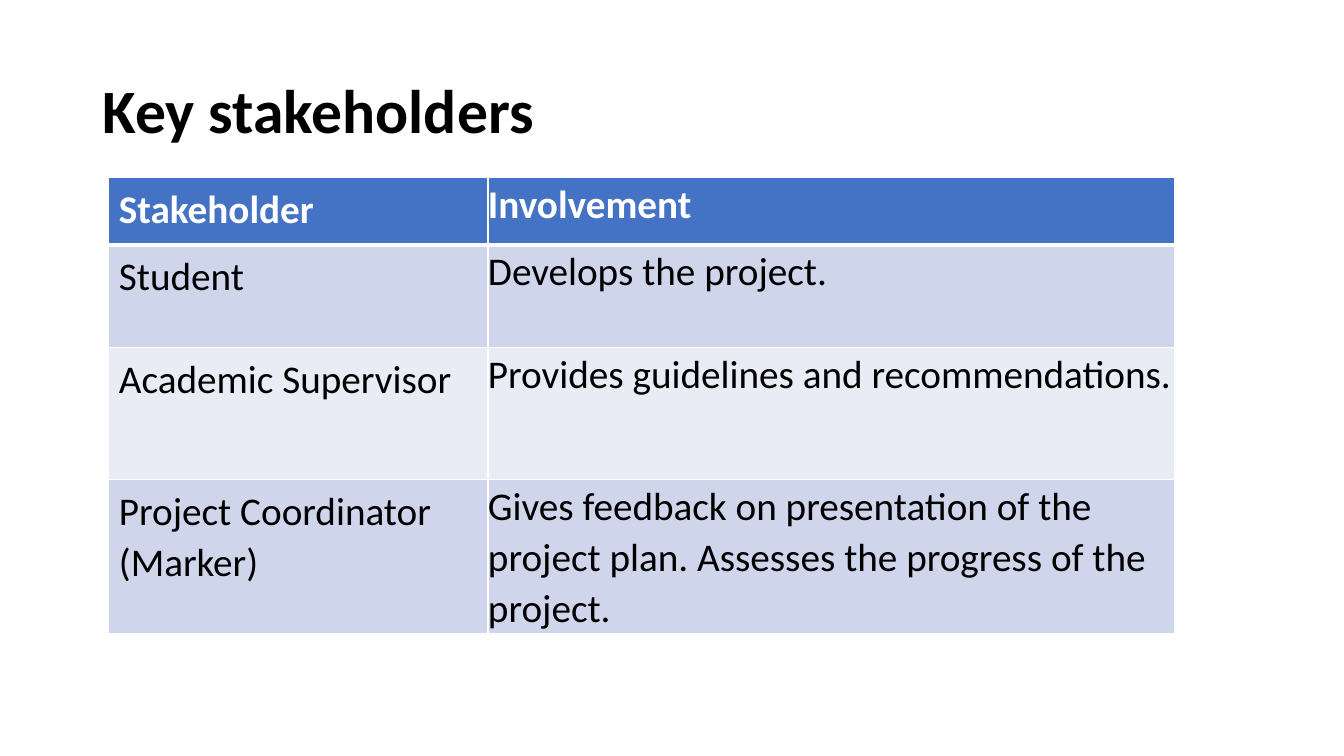
from lxml.etree import SubElement
from pptx import Presentation
from pptx.dml.color import RGBColor
from pptx.enum.text import MSO_ANCHOR as Anchor
from pptx.oxml.ns import qn
from pptx.util import Inches, Pt

WIDTH, HEIGHT = 13.33, 7.5
WHITE, BLACK, BLUE = "FFFFFF", "000000", "4472C4"
BANDS = ["CFD5EA", "E9EBF5"]
COLUMNS = [3.76, 6.81]
ROWS = [
    (0.67, "Stakeholder", "Involvement"),
    (1.02, "Student", "Develops the project."),
    (1.31, "Academic Supervisor", "Provides guidelines and recommendations."),
    (1.53, "Project Coordinator\v(Marker)",
     "Gives feedback on presentation of the project plan. "
     "Assesses the progress of the project."),
]


def color(value):
    """Turn a hex string into a colour."""
    return RGBColor.from_string(value)


def apply(target, formats):
    """Set every attribute named in a dict."""
    for name, value in formats.items():
        setattr(target, name, value)


def write(frame, text, size, shade, bold, spacing):
    """Write one formatted paragraph into a text frame."""
    para = frame.paragraphs[0]
    para.line_spacing = spacing
    para.text = text
    for span in para.runs:
        apply(span.font, {"name": "Calibri", "size": Pt(size), "bold": bold})
        span.font.color.rgb = color(shade)


def add_title(page, text):
    """Add the slide title."""
    box = page.shapes.add_textbox(
        Inches(0.92), Inches(0.4), Inches(11.5), Inches(1.45))
    apply(box.text_frame,
          {"word_wrap": True, "vertical_anchor": Anchor.MIDDLE})
    write(box.text_frame, text, 44, BLACK, True, 0.9)


def add_borders(cell, widths):
    """Draw white borders given as points by side."""
    for side, width in widths.items():
        line = SubElement(cell._tc.get_or_add_tcPr(), qn(f"a:ln{side}"),
                          w=str(Pt(width)))
        fill = SubElement(line, qn("a:solidFill"))
        SubElement(fill, qn("a:srgbClr"), val=WHITE)


def fill_cell(cell, text, row, column):
    """Format and fill one cell by its place in the table."""
    header = row == 0
    add_borders(cell, {"L": 1, "R": 1, "T": 3 if row == 1 else 1,
                       "B": 3 if header else 1})
    cell.fill.solid()
    cell.fill.fore_color.rgb = color(BLUE if header else BANDS[(row - 1) % 2])
    if column == 1:
        apply(cell, dict.fromkeys(
            ("margin_left", "margin_top", "margin_right", "margin_bottom"), 0))
    write(cell.text_frame, text, 28, WHITE if header else BLACK, header, 1.07)


def add_stakeholders(page):
    """Add the table of stakeholders."""
    heights = [height for height, *_ in ROWS]
    table = page.shapes.add_table(
        len(ROWS), len(COLUMNS), Inches(1.08), Inches(1.76),
        Inches(sum(COLUMNS)), Inches(sum(heights))).table
    for column, width in zip(table.columns, COLUMNS):
        column.width = Inches(width)
    for row, (height, *texts) in enumerate(ROWS):
        table.rows[row].height = Inches(height)
        for column, text in enumerate(texts):
            fill_cell(table.cell(row, column), text, row, column)


def main():
    """Build and save the slide."""
    deck = Presentation()
    apply(deck, {"slide_width": Inches(WIDTH), "slide_height": Inches(HEIGHT)})
    page = deck.slides.add_slide(deck.slide_layouts[6])
    add_title(page, "Key stakeholders")
    add_stakeholders(page)
    deck.save("out.pptx")


main()
